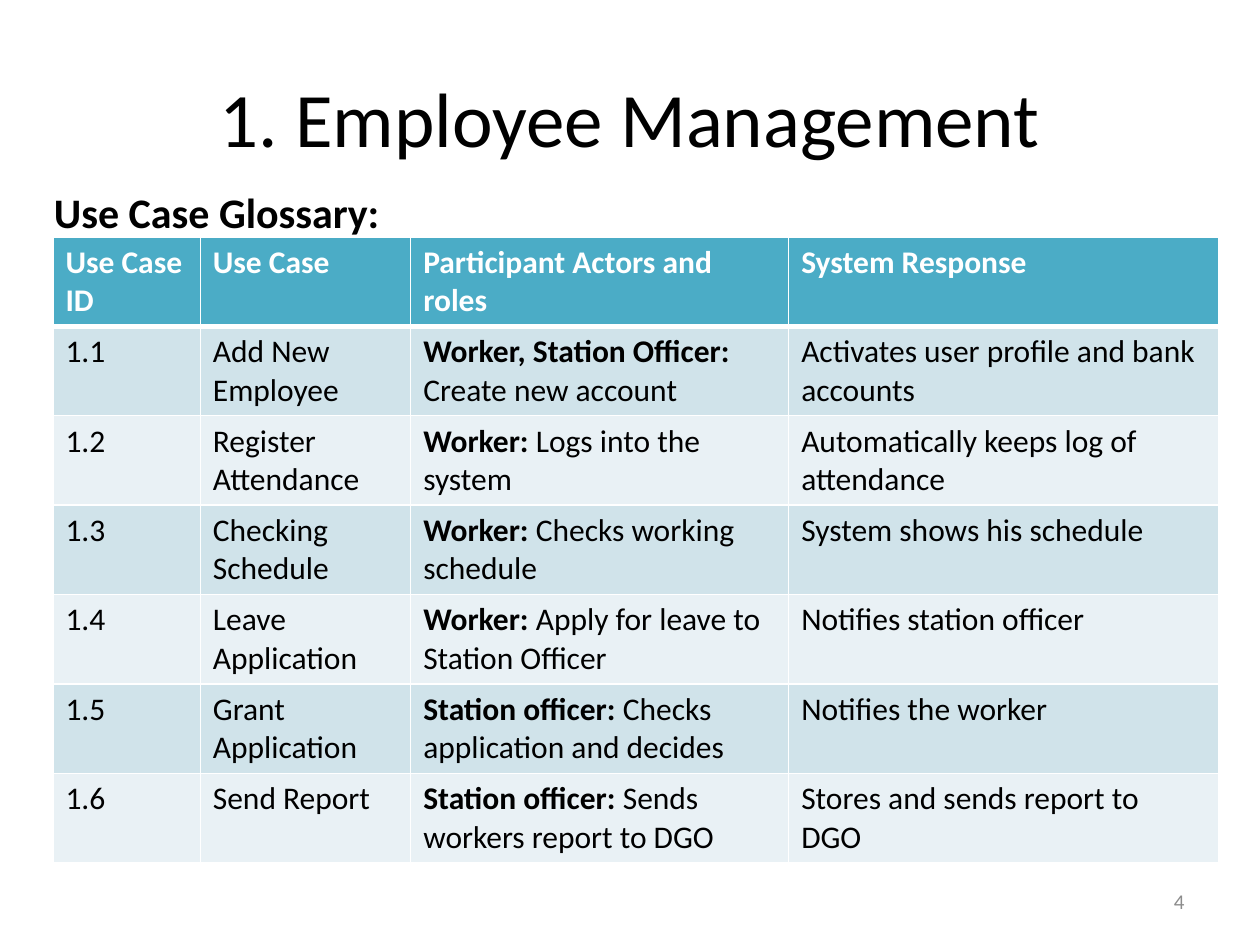
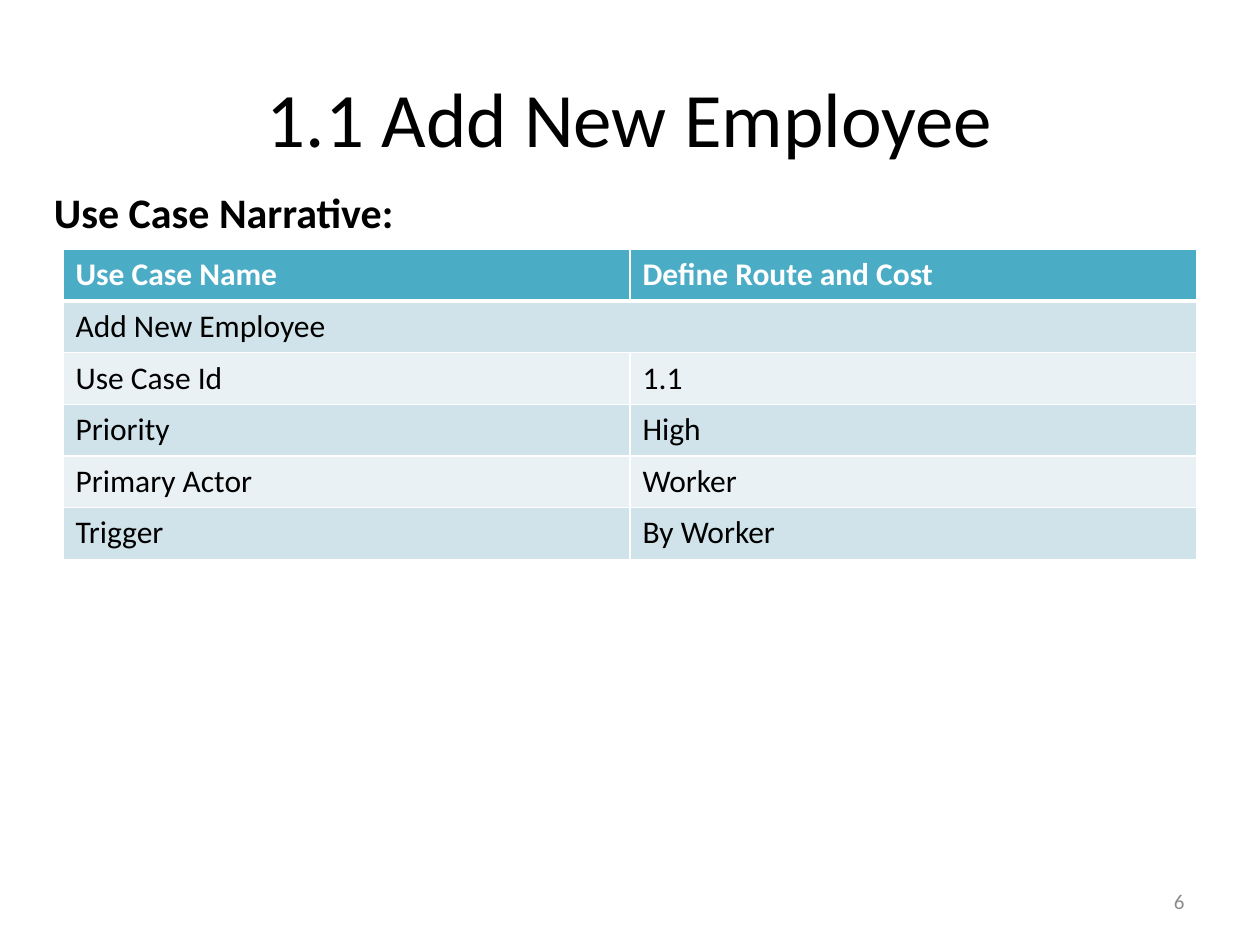
from dataclasses import dataclass

from lxml.etree import SubElement
from pptx import Presentation
from pptx.dml.color import RGBColor
from pptx.enum.text import MSO_ANCHOR, MSO_AUTO_SIZE, PP_ALIGN
from pptx.oxml.ns import qn
from pptx.util import Inches, Pt


@dataclass(frozen=True)
class Theme:
    font: str = "Calibri"
    ink: str = "000000"
    white: str = "FFFFFF"
    header: str = "4BACC6"
    bands: tuple = ("D0E3EA", "E9F1F5")
    number: str = "8C8C8C"
    title_size: int = 44
    heading_size: int = 24
    table_size: int = 18
    number_size: int = 12
    thin_rule: int = 1
    header_rule: int = 3


TITLE_ONLY = 5

GLOSSARY = [
    ("Use Case ID", "Use Case", "Participant Actors and roles", "System Response"),
    ("1.1", "Add New Employee", ("Worker, Station Officer:", " Create new account"),
     "Activates user profile and bank accounts"),
    ("1.2", "Register Attendance", ("Worker: ", "Logs into the system"),
     "Automatically keeps log of attendance"),
    ("1.3", "Checking\nSchedule", ("Worker:", " Checks working schedule"),
     "System shows his schedule"),
    ("1.4", "Leave Application", ("Worker:", " Apply for leave to Station Officer"),
     "Notifies station officer"),
    ("1.5", "Grant Application", ("Station officer: ", "Checks application and decides"),
     "Notifies the worker"),
    ("1.6", "Send Report", ("Station officer: ", "Sends workers report to DGO"),
     "Stores and sends report to DGO"),
]

# A row with a single entry spans the full table width.
NARRATIVE = [
    ("Use Case Name", "Define Route and Cost"),
    ("Add New Employee",),
    ("Use Case Id", "1.1"),
    ("Priority", "High"),
    ("Primary Actor", "Worker"),
    ("Trigger", "By Worker"),
]


class DeckBuilder:
    def __init__(self, theme):
        self.theme = theme
        self.deck = Presentation()
        self.deck.slide_width, self.deck.slide_height = Inches(10), Inches(7.5)
        self.page = None

    def add_page(self, title, heading, number):
        self.page = self.deck.slides.add_slide(self.deck.slide_layouts[TITLE_ONLY])
        self.title(title)
        self.heading(heading)
        self.page_number(number)

    def span(self, para, text, size, color, bold=False):
        """Add text as runs, with a line break for each newline."""
        for index, line in enumerate(text.split("\n")):
            if index:
                para.add_line_break()
            run = para.add_run()
            run.text = line
            run.font.name = self.theme.font
            run.font.size = Pt(size)
            run.font.bold = bold
            run.font.color.rgb = RGBColor.from_string(color)

    def title(self, text):
        box = self.page.shapes.title
        box.left, box.top = Inches(0.5), Inches(0.3)
        box.width, box.height = Inches(9), Inches(1.25)
        box.text_frame.vertical_anchor = MSO_ANCHOR.MIDDLE
        para = box.text_frame.paragraphs[0]
        para.alignment = PP_ALIGN.CENTER
        self.span(para, text, self.theme.title_size, self.theme.ink)

    def text_box(self, left, top, width, height):
        box = self.page.shapes.add_textbox(
            Inches(left), Inches(top), Inches(width), Inches(height))
        box.text_frame.word_wrap = True
        return box.text_frame

    def heading(self, text):
        frame = self.text_box(0.33, 1.43, 5.25, 0.5)
        frame.auto_size = MSO_AUTO_SIZE.SHAPE_TO_FIT_TEXT
        self.span(frame.paragraphs[0], text, self.theme.heading_size,
                  self.theme.ink, bold=True)

    def page_number(self, number):
        frame = self.text_box(7.17, 6.95, 2.33, 0.4)
        frame.vertical_anchor = MSO_ANCHOR.MIDDLE
        para = frame.paragraphs[0]
        para.alignment = PP_ALIGN.RIGHT
        self.span(para, str(number), self.theme.number_size, self.theme.number)

    def borders(self, cell, row):
        """Rule all four sides, thicker between the header and the body."""
        thin, thick = self.theme.thin_rule, self.theme.header_rule
        widths = {"L": thin, "R": thin,
                  "T": thick if row == 1 else thin,
                  "B": thick if row == 0 else thin}
        properties = cell._tc.get_or_add_tcPr()
        for side, width in widths.items():
            line = SubElement(properties, qn(f"a:ln{side}"), w=str(Pt(width)))
            fill = SubElement(line, qn("a:solidFill"))
            SubElement(fill, qn("a:srgbClr"), val=self.theme.white)

    def table(self, left, top, widths, row_height, rows):
        frame = self.page.shapes.add_table(
            len(rows), len(widths), Inches(left), Inches(top),
            Inches(sum(widths)), Inches(row_height * len(rows)))
        table = frame.table
        for column, width in zip(table.columns, widths):
            column.width = Inches(width)
        for index, entries in enumerate(rows):
            table.rows[index].height = Inches(row_height)
            color = self.theme.bands[(index - 1) % 2] if index else self.theme.header
            for column in range(len(widths)):
                cell = table.cell(index, column)
                self.borders(cell, index)
                cell.fill.solid()
                cell.fill.fore_color.rgb = RGBColor.from_string(color)
            for column, entry in enumerate(entries):
                self.cell_text(table.cell(index, column), entry, index == 0)
            if len(entries) == 1:
                table.cell(index, 0).merge(table.cell(index, len(widths) - 1))

    def cell_text(self, cell, entry, is_header):
        """Write a cell; a pair is a bold actor followed by a plain role."""
        para = cell.text_frame.paragraphs[0]
        size = self.theme.table_size
        if isinstance(entry, tuple):
            actor, role = entry
            self.span(para, actor, size, self.theme.ink, bold=True)
            self.span(para, role, size, self.theme.ink)
        else:
            color = self.theme.white if is_header else self.theme.ink
            self.span(para, entry, size, color, bold=is_header)


def main():
    builder = DeckBuilder(Theme())

    builder.add_page("1. Employee Management", "Use Case Glossary:", 4)
    builder.table(0.42, 1.88, (1.17, 1.67, 3, 3.41), 0.71, GLOSSARY)

    builder.add_page("1.1 Add New Employee", "Use Case Narrative:", 6)
    builder.table(0.5, 1.98, (4.5, 4.5), 0.41, NARRATIVE)

    builder.deck.save("out.pptx")


if __name__ == "__main__":
    main()
